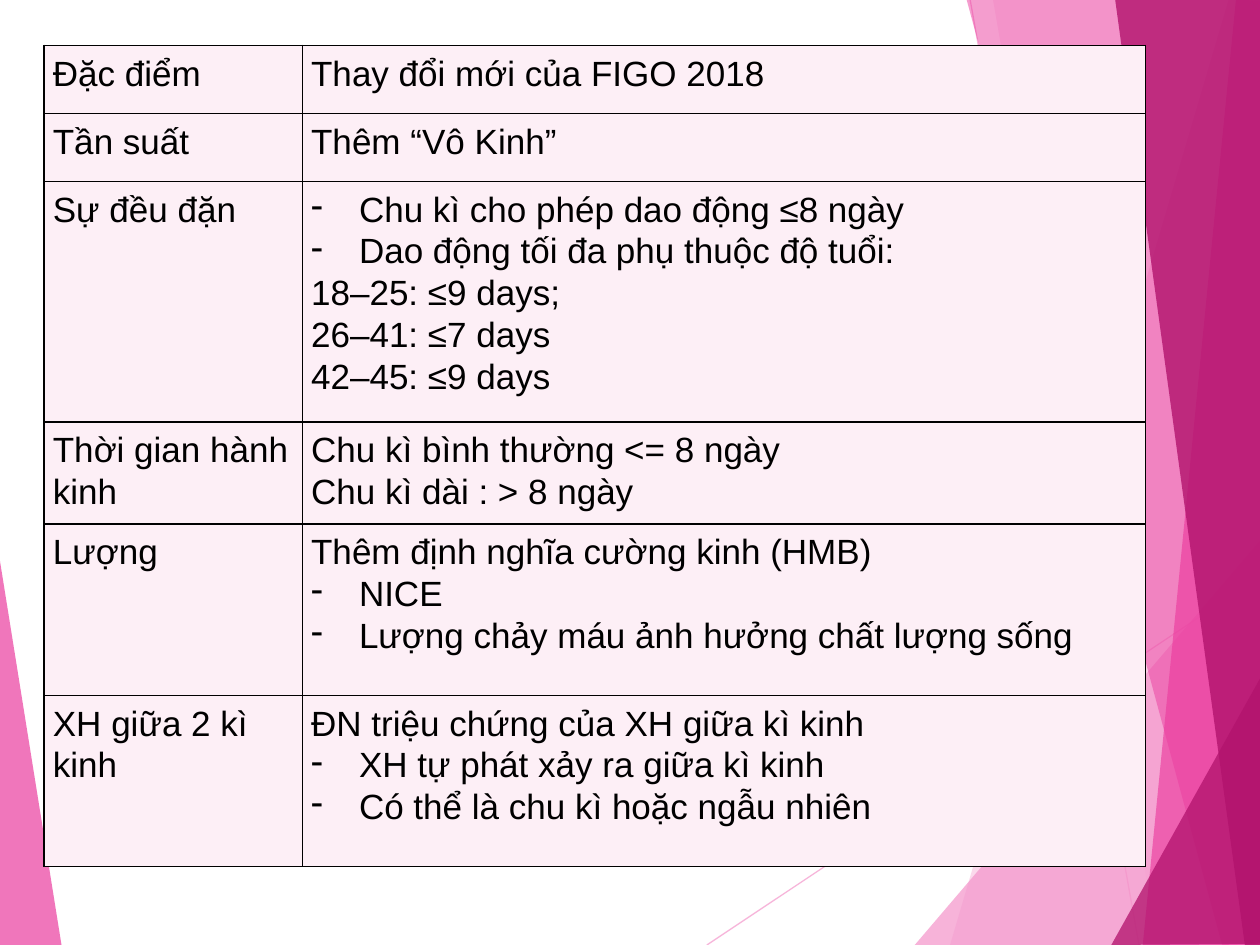
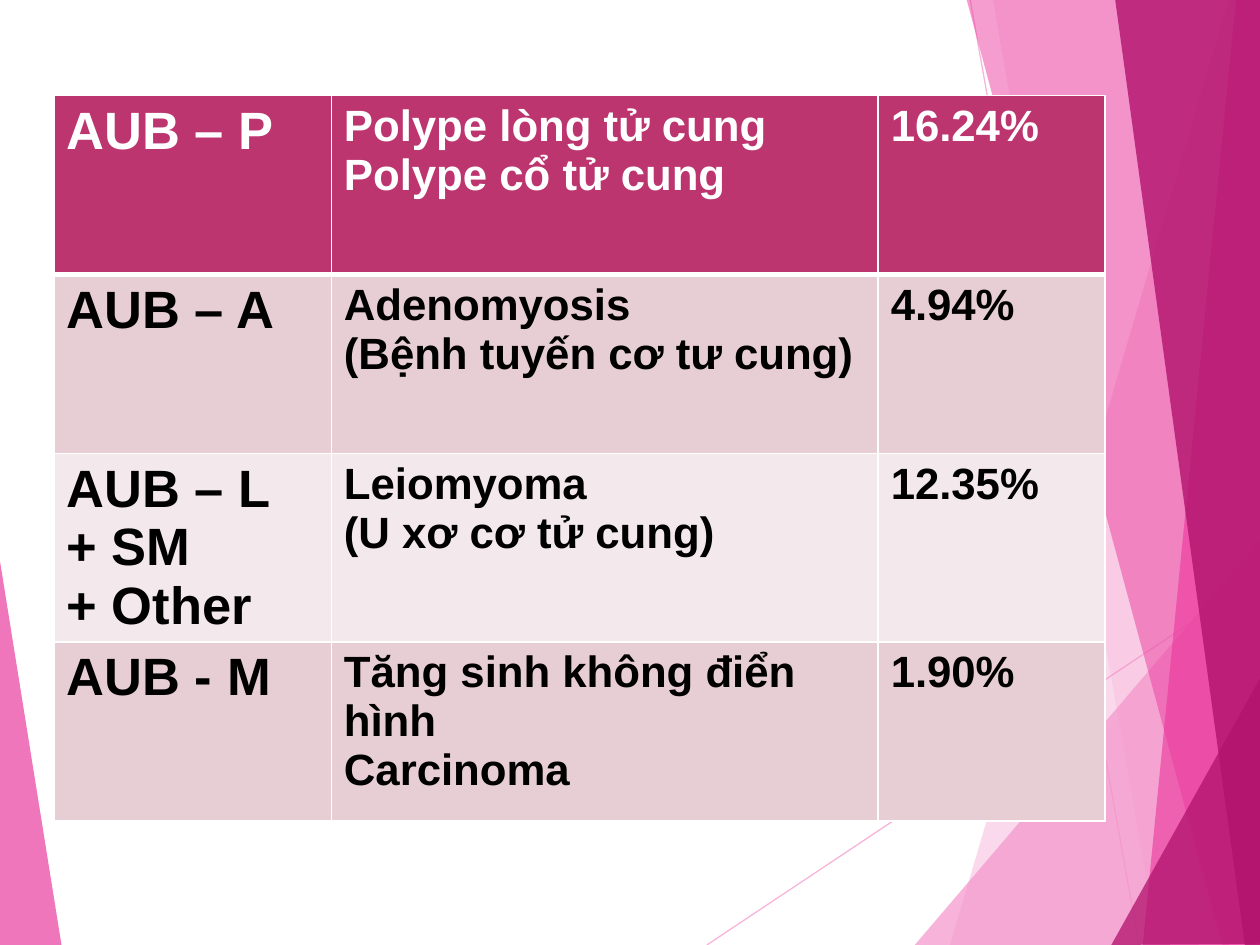
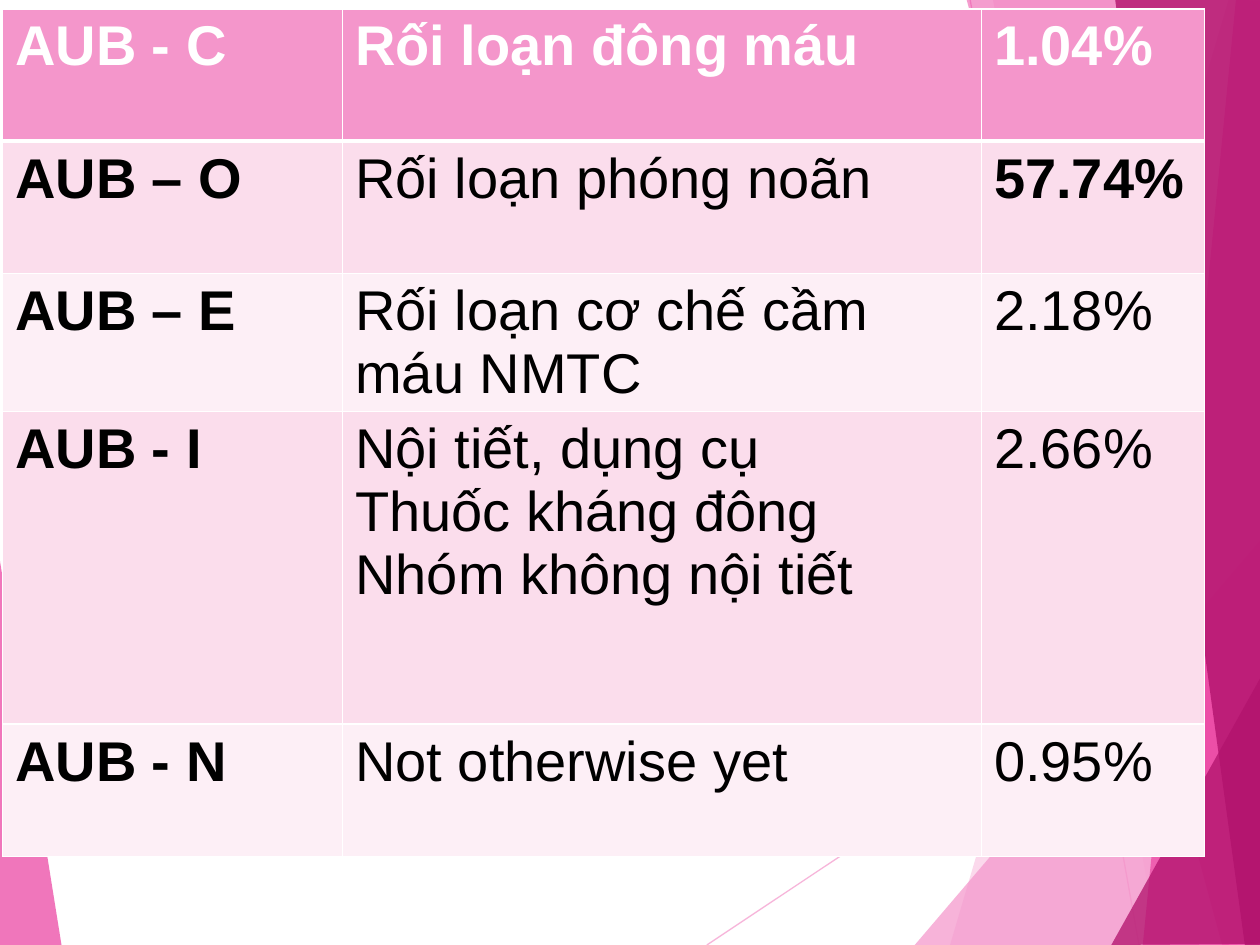
from dataclasses import dataclass

from lxml.etree import SubElement
from pptx import Presentation
from pptx.dml.color import RGBColor
from pptx.enum.shapes import MSO_CONNECTOR
from pptx.oxml.ns import qn
from pptx.util import Inches, Pt


@dataclass(frozen=True)
class Theme:
    font: str = "Arial"
    black: str = "000000"
    white: str = "FFFFFF"
    pink: str = "F496CB"
    magenta: str = "EB3D9F"
    plum: str = "B2136D"
    berry: str = "BC356F"
    rose: str = "E7CED5"
    pale_rose: str = "F3E8EB"
    blush: str = "FBDDEC"
    pale_blush: str = "FDEFF6"
    small: int = 20
    medium: int = 25
    large: int = 30
    huge: int = 32
    thin: float = 1
    thick: float = 3
    hairline: float = 0.75
    hairline_alpha: int = 70


THEME = Theme()

RAYS = [((5.61, 7.5), (10.01, 4.57)), ((7.7, 0), (9.04, 7.5))]

FACETS = [
    (THEME.pink, 36, [(9.75, 0), (7.54, 7.5), (10.02, 7.51), (10.01, 0.01)]),
    (THEME.pink, 20, [(7.88, -0.01), (9.19, 7.5), (10.01, 7.5), (10.01, -0.01)]),
    (THEME.pink, 72, [(7.26, 7.5), (10, 4.29), (10.01, 7.5)]),
    (THEME.magenta, 50, [(7.67, -0.01), (9.7, 7.5), (10.01, 7.49), (10.01, -0.01)]),
    (THEME.magenta, 66, [(9.81, -0.01), (9.07, 7.5), (10.01, 7.5), (10, -0.01)]),
    (THEME.plum, 80, [(8.85, -0.01), (9.88, 7.5), (10.02, 7.5), (10, -0.01)]),
    (THEME.plum, 76, [(8.82, 7.5), (10.02, 5.35), (10.02, 7.49)]),
    (THEME.magenta, 70, [(-0.01, 4.39), (0.49, 7.51), (-0.01, 7.5)]),
]


@dataclass(frozen=True)
class TableStyle:
    sizes: tuple
    bands: tuple
    border: str
    header: str = ""
    bold_columns: tuple = ()
    bold_texts: tuple = ()
    line_spacing: float = 1.0
    margins: tuple = (0.1, 0.05)


FIGO_STYLE = TableStyle(
    sizes=(THEME.small, THEME.small),
    bands=(THEME.pale_blush,),
    border=THEME.black,
    line_spacing=1.07,
    margins=(0.07, 0.05),
)
STRUCTURAL_STYLE = TableStyle(
    sizes=(THEME.large, THEME.medium, THEME.medium),
    bands=(THEME.pale_rose, THEME.rose),
    border=THEME.white,
    header=THEME.berry,
    bold_columns=(0, 1, 2),
)
NONSTRUCTURAL_STYLE = TableStyle(
    sizes=(THEME.huge,) * 3,
    bands=(THEME.pale_blush, THEME.blush),
    border=THEME.white,
    header=THEME.pink,
    bold_columns=(0,),
    bold_texts=("57.74%",),
)

FIGO_ROWS = [
    (["Đặc điểm"], ["Thay đổi mới của FIGO 2018"]),
    (["Tần suất"], ["Thêm “Vô Kinh”"]),
    (["Sự đều đặn"], [
        "- Chu kì cho phép dao động ≤8 ngày",
        "- Dao động tối đa phụ thuộc độ tuổi:",
        "18–25: ≤9 days;",
        "26–41: ≤7 days",
        "42–45: ≤9 days",
    ]),
    (["Thời gian hành kinh"], ["Chu kì bình thường <= 8 ngày", "Chu kì dài : > 8 ngày"]),
    (["Lượng"], [
        "Thêm định nghĩa cường kinh (HMB)",
        "- NICE",
        "- Lượng chảy máu ảnh hưởng chất lượng sống",
    ]),
    (["XH giữa 2 kì kinh"], [
        "ĐN triệu chứng của XH giữa kì kinh",
        "- XH tự phát xảy ra giữa kì kinh",
        "- Có thể là chu kì hoặc ngẫu nhiên",
    ]),
]
STRUCTURAL_ROWS = [
    (["AUB – P"], ["Polype lòng tử cung\nPolype cổ tử cung"], ["16.24%"]),
    (["AUB – A"], ["Adenomyosis\n(Bệnh tuyến cơ tư cung)"], ["4.94%"]),
    (["AUB – L\n+ SM", "+ Other"], ["Leiomyoma\n(U xơ cơ tử cung)"], ["12.35%"]),
    (["AUB - M"], ["Tăng sinh không điển hình", "Carcinoma"], ["1.90%"]),
]
NONSTRUCTURAL_ROWS = [
    (["AUB - C"], ["Rối loạn đông máu"], ["1.04%"]),
    (["AUB – O"], ["Rối loạn phóng noãn"], ["57.74%"]),
    (["AUB – E"], ["Rối loạn cơ chế cầm máu NMTC"], ["2.18%"]),
    (["AUB - I"], ["Nội tiết, dụng cụ", "Thuốc kháng đông\nNhóm không nội tiết"], ["2.66%"]),
    (["AUB - N"], ["Not otherwise yet"], ["0.95%"]),
]


def rgb(color):
    return RGBColor.from_string(color)


def set_attributes(target, values):
    for name, value in values.items():
        setattr(target, name, value)


def set_alpha(shape, percent):
    for color in shape.element.spPr.iter(qn("a:srgbClr")):
        SubElement(color, qn("a:alpha"), val=str(percent * 1000))


def add_ray(page, start, end):
    points = [Inches(value) for value in (*start, *end)]
    ray = page.shapes.add_connector(MSO_CONNECTOR.STRAIGHT, *points)
    ray.line.color.rgb = rgb(THEME.pink)
    ray.line.width = Pt(THEME.hairline)
    set_alpha(ray, THEME.hairline_alpha)
    SubElement(ray.element.spPr, qn("a:effectLst"))


def add_facet(page, color, alpha, corners):
    start, *others = [(Inches(x), Inches(y)) for x, y in corners]
    builder = page.shapes.build_freeform(*start)
    builder.add_line_segments(others, close=True)
    facet = builder.convert_to_shape()
    facet.shadow.inherit = False
    facet.fill.solid()
    facet.fill.fore_color.rgb = rgb(color)
    set_alpha(facet, alpha)
    facet.line.fill.background()


def add_backdrop(page):
    for start, end in RAYS:
        add_ray(page, start, end)
    for color, alpha, corners in FACETS:
        add_facet(page, color, alpha, corners)


def set_borders(cell, color, widths):
    properties = cell._tc.get_or_add_tcPr()
    for position, (side, width) in enumerate(widths.items()):
        line = properties.makeelement(qn(f"a:ln{side}"), {"w": str(Pt(width))})
        fill = SubElement(line, qn("a:solidFill"))
        SubElement(fill, qn("a:srgbClr"), val=color)
        properties.insert(position, line)


def add_dash(paragraph):
    properties = paragraph._p.get_or_add_pPr()
    properties.set("marL", str(Inches(0.38)))
    properties.set("indent", str(Inches(-0.38)))
    SubElement(properties, qn("a:buChar"), char="-")


def write_cell(cell, lines, font_values, line_spacing):
    frame = cell.text_frame
    for index, text in enumerate(lines):
        paragraph = frame.add_paragraph() if index else frame.paragraphs[0]
        paragraph.text = text.removeprefix("- ")
        if text.startswith("- "):
            add_dash(paragraph)
        paragraph.line_spacing = line_spacing
        for span in paragraph.runs:
            set_attributes(span.font, font_values["font"])
            span.font.color.rgb = rgb(font_values["color"])


def format_cell(cell, row, column, lines, style):
    is_header = bool(style.header) and row == 0
    cell.fill.solid()
    cell.fill.fore_color.rgb = rgb(style.header if is_header else style.bands[row % len(style.bands)])
    side, end = (Inches(value) for value in style.margins)
    set_attributes(cell, {"margin_left": side, "margin_right": side, "margin_top": end, "margin_bottom": end})
    below_header = bool(style.header) and row == 1
    set_borders(cell, style.border, {
        "L": THEME.thin,
        "R": THEME.thin,
        "T": THEME.thick if below_header else THEME.thin,
        "B": THEME.thick if is_header else THEME.thin,
    })
    bold = is_header or column in style.bold_columns or lines[0] in style.bold_texts
    font_values = {
        "font": {"name": THEME.font, "size": Pt(style.sizes[column]), "bold": bold},
        "color": THEME.white if is_header else THEME.black,
    }
    write_cell(cell, lines, font_values, style.line_spacing)


def add_grid(page, left, top, widths, heights, rows, style):
    area = [Inches(value) for value in (left, top, sum(widths), sum(heights))]
    table = page.shapes.add_table(len(rows), len(widths), *area).table
    set_attributes(table, {"first_row": False, "horz_banding": False})
    for column, width in zip(table.columns, widths):
        column.width = Inches(width)
    for row, height in zip(table.rows, heights):
        row.height = Inches(height)
    for row, contents in enumerate(rows):
        for column, lines in enumerate(contents):
            format_cell(table.cell(row, column), row, column, lines, style)


def add_page(deck):
    page = deck.slides.add_slide(deck.slide_layouts[6])
    add_backdrop(page)
    return page


def main():
    deck = Presentation()
    set_attributes(deck, {"slide_width": Inches(10), "slide_height": Inches(7.5)})
    add_grid(add_page(deck), 0.35, 0.36, (2.05, 6.69),
             (0.54, 0.54, 1.91, 0.81, 1.36, 1.36), FIGO_ROWS, FIGO_STYLE)
    add_grid(add_page(deck), 0.43, 0.76, (2.2, 4.34, 1.8),
             (1.42,) * 4, STRUCTURAL_ROWS, STRUCTURAL_STYLE)
    add_grid(add_page(deck), 0.02, 0.07, (2.7, 5.07, 1.77),
             (1.05, 1.05, 1.05, 2.48, 1.05), NONSTRUCTURAL_ROWS, NONSTRUCTURAL_STYLE)
    deck.save("out.pptx")


if __name__ == "__main__":
    main()
